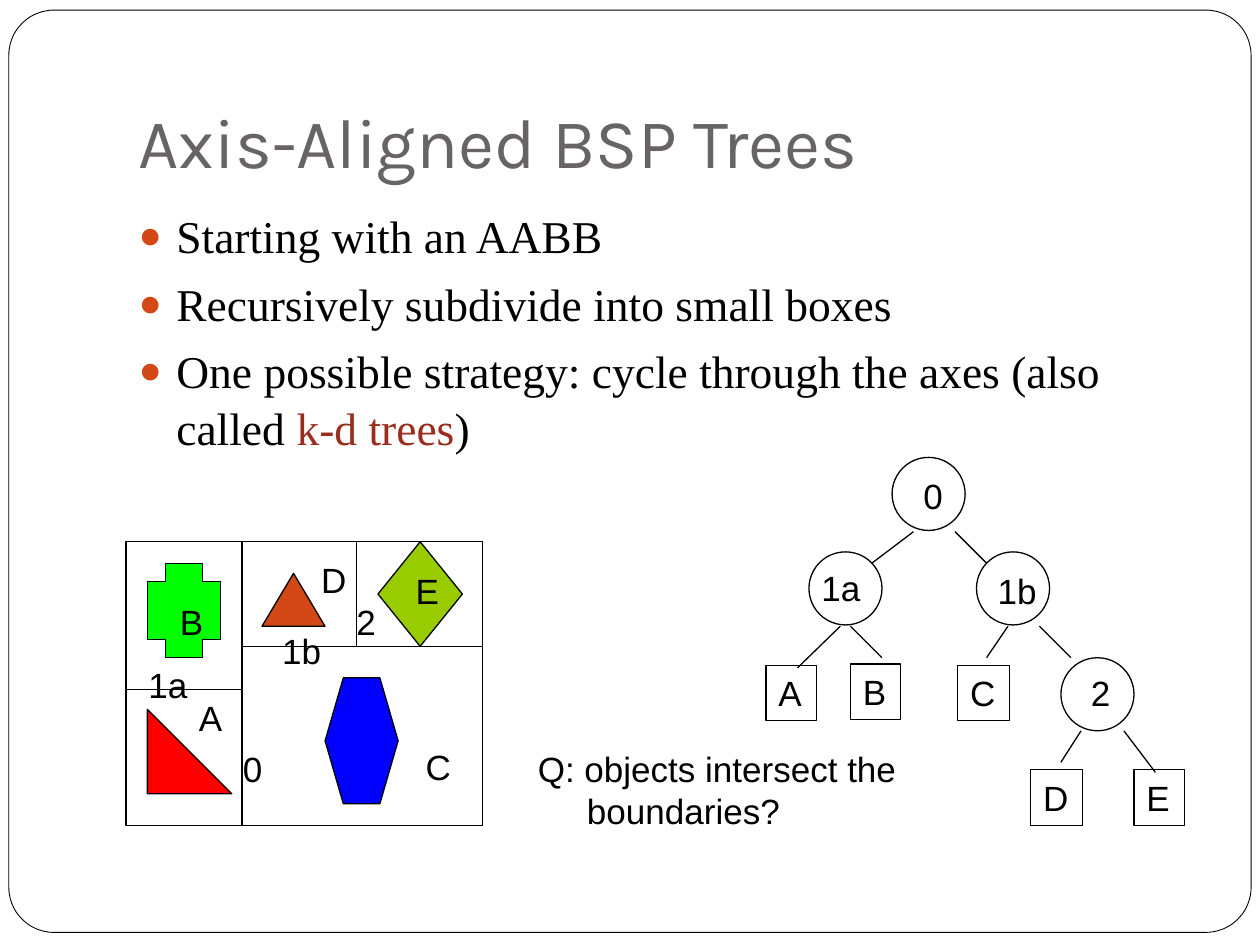
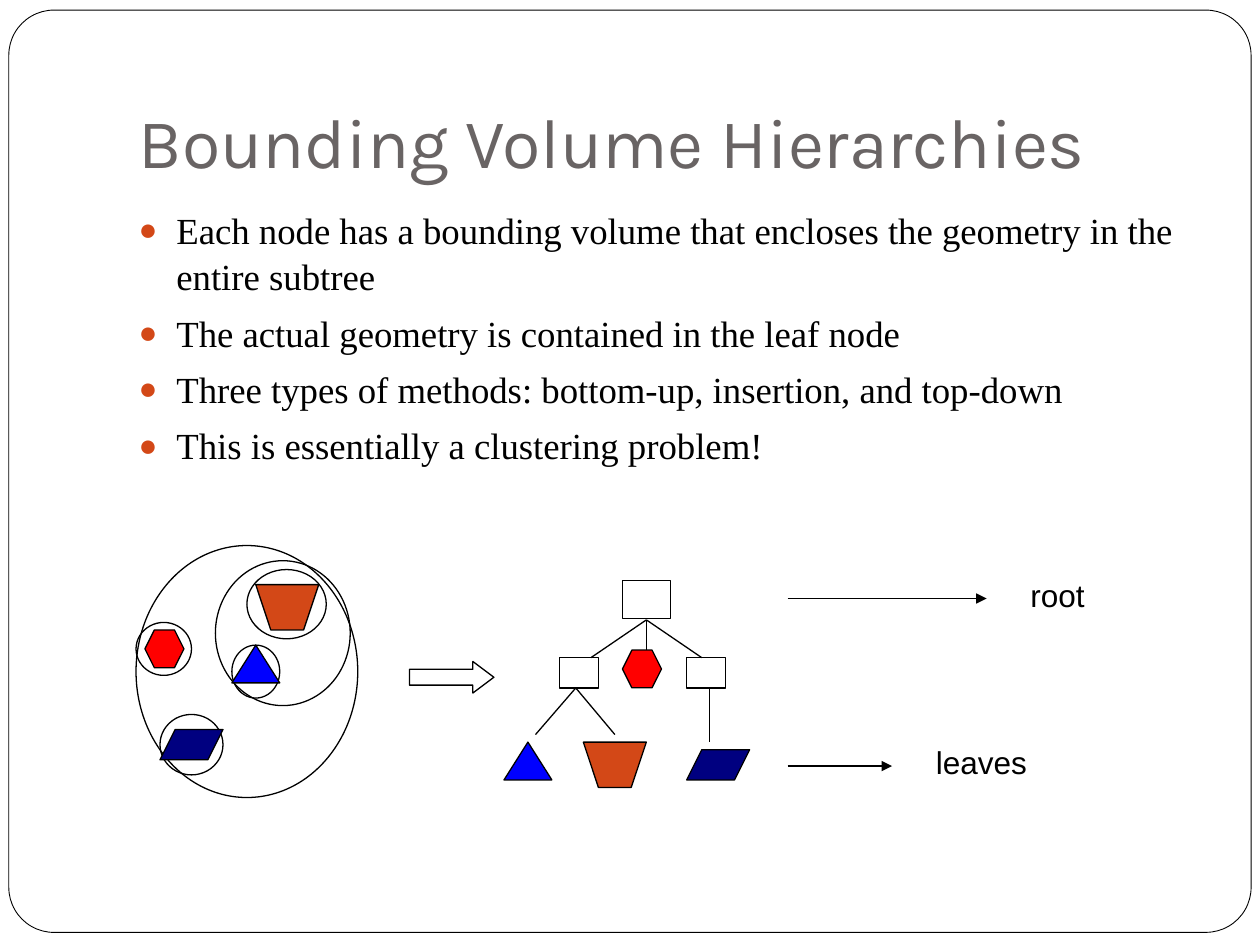
import pptx
import pptx.util
import pptx.oxml
import pptx.oxml.ns
import pptx.enum.shapes
import pptx.enum.text
import pptx.dml.color

Inches = pptx.util.Inches
Pt = pptx.util.Pt
kinds = pptx.enum.shapes.MSO_SHAPE
anchors = pptx.enum.text.MSO_ANCHOR
left_aligned = pptx.enum.text.PP_ALIGN.LEFT
qn = pptx.oxml.ns.qn
namespace = pptx.oxml.ns.nsdecls("a")

BLACK, WHITE, GREY = "000000", "FFFFFF", "696464"
ORANGE, BRICK, RED, BLUE = "D34817", "9B2D1F", "FF0000", "0000FF"
GREEN, OLIVE, NAVY = "00FF00", "99CC00", "000080"
TRAPEZOID_POINTS = [(0.12, 0.36), (0.38, 0.36), (0.5, 0)]
ADJUSTMENTS = {
    kinds.ROUNDED_RECTANGLE: [0.049],
    kinds.PARALLELOGRAM: [0.5],
    kinds.RIGHT_ARROW: [0.5, 0.667],
}
BULLET_PARTS = [
    f'<a:buClr {namespace}><a:srgbClr val="{ORANGE}"/></a:buClr>',
    f'<a:buSzPct {namespace} val="85000"/>',
    f'<a:buFont {namespace} typeface="Arial"/>',
    f'<a:buChar {namespace} char="●"/>',
]


def paint(fill, colour):
    if colour is None:
        fill.background()
    else:
        fill.solid()
        fill.fore_color.rgb = pptx.dml.color.RGBColor.from_string(colour)


def write(para, text, colour, **font_values):
    span = para.add_run()
    span.text = text
    paint(span.font.fill, colour)
    for name, value in font_values.items():
        setattr(span.font, name, value)


bsp_tree = {
    "title": "Axis-Aligned BSP Trees",
    "bullet size": 26,
    "bullets": [
        [("Starting with an AABB", BLACK)],
        [("Recursively subdivide into small boxes", BLACK)],
        [("One possible strategy: cycle through the axes (also called ", BLACK),
         ("k-d trees", BRICK), (")", BLACK)],
    ],
    "shapes": [
        (kinds.RECTANGLE, 1, 4.3, 2.83, 2.25, None),
        (kinds.ISOSCELES_TRIANGLE, 2.08, 4.55, 0.5, 0.42, ORANGE),
        (kinds.HEXAGON, 2.58, 5.38, 0.58, 1, BLUE),
        (kinds.RIGHT_TRIANGLE, 1.17, 5.63, 0.67, 0.67, RED),
        (kinds.CROSS, 1.17, 4.47, 0.58, 0.75, GREEN),
        (kinds.DIAMOND, 3, 4.3, 0.67, 0.83, OLIVE),
    ],
    "trapezoids": [],
    "lines": [
        (1.92, 4.3, 1.92, 6.55), (1.92, 5.13, 3.83, 5.13),
        (1, 5.47, 1.92, 5.47), (2.83, 4.3, 2.83, 5.13),
        (7.25, 4.22, 6.92, 4.47), (7.58, 4.22, 7.83, 4.47),
        (6.67, 4.97, 6.33, 5.3), (6.75, 4.97, 7, 5.22),
        (8, 4.97, 7.83, 5.22), (8.25, 4.97, 8.5, 5.22),
        (8.58, 5.8, 8.42, 6.05), (8.92, 5.8, 9.17, 6.13),
    ],
    "arrows": [],
    "label size": 20,
    "labels": [
        ("A", 1.48, 5.48, 0.39), ("B", 1.33, 4.72, 0.39), ("C", 3.28, 5.87, 0.4),
        ("D", 2.45, 4.38, 0.4), ("E", 3.2, 4.47, 0.39), ("0", 1.83, 5.88, 0.36),
        ("1a", 1.08, 5.22, 0.51), ("1b", 2.14, 4.95, 0.51), ("2", 2.73, 4.72, 0.36),
        ("0", 7.23, 3.72, 0.36), ("1a", 6.42, 4.45, 0.51),
        ("1b", 7.82, 4.47, 0.51), ("2", 8.56, 5.28, 0.36),
        ("Q: objects intersect the\nboundaries?", 4.17, 5.88, 3.11),
    ],
    "leaves": [
        ("A", 6.08, 5.28, 0.4), ("B", 6.75, 5.27, 0.4), ("C", 7.6, 5.28, 0.41),
        ("D", 8.18, 6.11, 0.41), ("E", 9, 6.11, 0.4),
    ],
}
for node_left, node_top in [(7.08, 3.63), (6.42, 4.38), (7.75, 4.38), (8.42, 5.22)]:
    bsp_tree["shapes"].append((kinds.OVAL, node_left, node_top, 0.58, 0.58, None))

volume_hierarchy = {
    "title": "Bounding Volume Hierarchies",
    "bullet size": 21,
    "bullets": [
        [("Each node has a bounding volume that encloses the geometry in the entire subtree", BLACK)],
        [("The actual geometry is contained in the leaf node", BLACK)],
        [("Three types of methods: bottom-up, insertion, and top-down", BLACK)],
        [("This is essentially a clustering problem!", BLACK)],
    ],
    "shapes": [
        (kinds.OVAL, 1.08, 4.94, 0.44, 0.42, None),
        (kinds.OVAL, 1.96, 4.52, 0.63, 0.55, None),
        (kinds.OVAL, 1.84, 5.12, 0.38, 0.42, None),
        (kinds.OVAL, 1.27, 5.67, 0.5, 0.48, None),
        (kinds.OVAL, 1.71, 4.45, 1.07, 1.15, None),
        (kinds.OVAL, 1.08, 4.33, 1.76, 2, None),
        (kinds.RECTANGLE, 4.94, 4.61, 0.38, 0.3, None),
        (kinds.RECTANGLE, 4.44, 5.22, 0.31, 0.24, None),
        (kinds.RECTANGLE, 5.45, 5.22, 0.31, 0.24, None),
        (kinds.RIGHT_ARROW, 3.25, 5.25, 0.67, 0.25, None),
    ],
    "trapezoids": [(2.03, 4.64), (4.63, 5.89)],
    "lines": [
        (5.13, 4.92, 4.69, 5.22), (5.13, 4.92, 5.13, 5.16), (5.13, 4.92, 5.57, 5.22),
        (4.57, 5.46, 4.25, 5.83), (4.57, 5.46, 4.88, 5.83), (5.63, 5.46, 5.63, 5.89),
    ],
    "arrows": [(6.25, 4.75, 7.83, 4.75), (6.25, 6.08, 7.08, 6.08)],
    "label size": 18,
    "labels": [("root", 8.08, 4.52, 0.63), ("leaves", 7.33, 5.85, 0.92)],
    "leaves": [],
}
geometry = [
    (kinds.ISOSCELES_TRIANGLE, 0.38, 0.3, BLUE, [(1.84, 5.12), (4, 5.89)]),
    (kinds.HEXAGON, 0.31, 0.3, RED, [(1.15, 5), (4.94, 5.16)]),
    (kinds.PARALLELOGRAM, 0.5, 0.24, NAVY, [(1.27, 5.79), (5.45, 5.95)]),
]
for kind, width, height, colour, places in geometry:
    for left, top in places:
        volume_hierarchy["shapes"].append((kind, left, top, width, height, colour))

deck = pptx.Presentation()
deck.slide_width, deck.slide_height = Inches(10), Inches(7.5)

for content in [bsp_tree, volume_hierarchy]:
    page = deck.slides.add_slide(deck.slide_layouts[1])
    title, body = page.placeholders
    for box, top, height in [(title, 0.3, 1.25), (body, 1.58, 5)]:
        place = {"left": 1, "top": top, "width": 8.5, "height": height}
        for name, value in place.items():
            setattr(box, name, Inches(value))

    title_format = {
        "vertical_anchor": anchors.BOTTOM,
        "margin_bottom": Inches(0.1),
        "auto_size": pptx.enum.text.MSO_AUTO_SIZE.NONE,
        "word_wrap": True,
    }
    for name, value in title_format.items():
        setattr(title.text_frame, name, value)
    para = title.text_frame.paragraphs[0]
    para.alignment = left_aligned
    write(para, content["title"], GREY, size=Pt(40), name="Karla")

    body.text_frame.auto_size = pptx.enum.text.MSO_AUTO_SIZE.NONE
    for index, spans in enumerate(content["bullets"]):
        para = body.text_frame.add_paragraph() if index else body.text_frame.paragraphs[0]
        para_format = {"alignment": left_aligned, "space_before": Pt(5.8), "line_spacing": 1.05}
        for name, value in para_format.items():
            setattr(para, name, value)
        properties = para._p.get_or_add_pPr()
        properties.set("marL", str(Inches(0.3)))
        properties.set("indent", str(Inches(-0.3)))
        for part in BULLET_PARTS:
            properties.append(pptx.oxml.parse_xml(part))
        for text, colour in spans:
            write(para, text, colour, size=Pt(content["bullet size"]), name="Times New Roman")

    frame = (kinds.ROUNDED_RECTANGLE, 0.07, 0.08, 9.86, 7.32, WHITE)
    for kind, left, top, width, height, colour in [frame] + content["shapes"]:
        shape = page.shapes.add_shape(kind, Inches(left), Inches(top), Inches(width), Inches(height))
        for index, value in enumerate(ADJUSTMENTS.get(kind, [])):
            shape.adjustments[index] = value
        shape.shadow.inherit = False
        paint(shape.fill, colour)
        paint(shape.line.fill, BLACK)
        shape.line.width = Pt(0.75)
        if kind == kinds.ROUNDED_RECTANGLE:
            shape.line.width = Pt(0.5)
            page.shapes.element.insert(2, shape.element)

    for left, top in content["trapezoids"]:
        outline = page.shapes.build_freeform(Inches(left), Inches(top))
        outline.add_line_segments([(Inches(left + x), Inches(top + y)) for x, y in TRAPEZOID_POINTS])
        trapezoid = outline.convert_to_shape()
        trapezoid.shadow.inherit = False
        paint(trapezoid.fill, ORANGE)
        paint(trapezoid.line.fill, BLACK)
        trapezoid.line.width = Pt(0.75)

    for ends in content["lines"] + content["arrows"]:
        line = page.shapes.add_connector(
            pptx.enum.shapes.MSO_CONNECTOR.STRAIGHT, *[Inches(value) for value in ends])
        paint(line.line.fill, BLACK)
        line.line.width = Pt(0.75)
        if ends in content["arrows"]:
            line.element.find(".//" + qn("a:ln")).append(
                pptx.oxml.parse_xml(f'<a:tailEnd {namespace} type="triangle"/>'))
        line.element.spPr.append(pptx.oxml.parse_xml(f"<a:effectLst {namespace}/>"))

    for entry in content["labels"] + content["leaves"]:
        text, left, top, width = entry
        height = 0.77 if "\n" in text else content["label size"] / 50 + 0.04
        place = [Inches(value) for value in (left, top, width, height)]
        if entry in content["leaves"]:
            box = page.shapes.add_shape(kinds.RECTANGLE, *place)
            box.shadow.inherit = False
            paint(box.fill, None)
            paint(box.line.fill, BLACK)
            box.line.width = Pt(0.75)
        else:
            box = page.shapes.add_textbox(*place)
        box.text_frame.word_wrap = False
        box.text_frame.vertical_anchor = anchors.TOP
        for index, line_text in enumerate(text.split("\n")):
            para = box.text_frame.add_paragraph() if index else box.text_frame.paragraphs[0]
            para.alignment = left_aligned
            if index:
                para._p.get_or_add_pPr().set("marL", str(Inches(0.39)))
            write(para, line_text, BLACK, size=Pt(content["label size"]), name="Arial")

deck.save("out.pptx")
